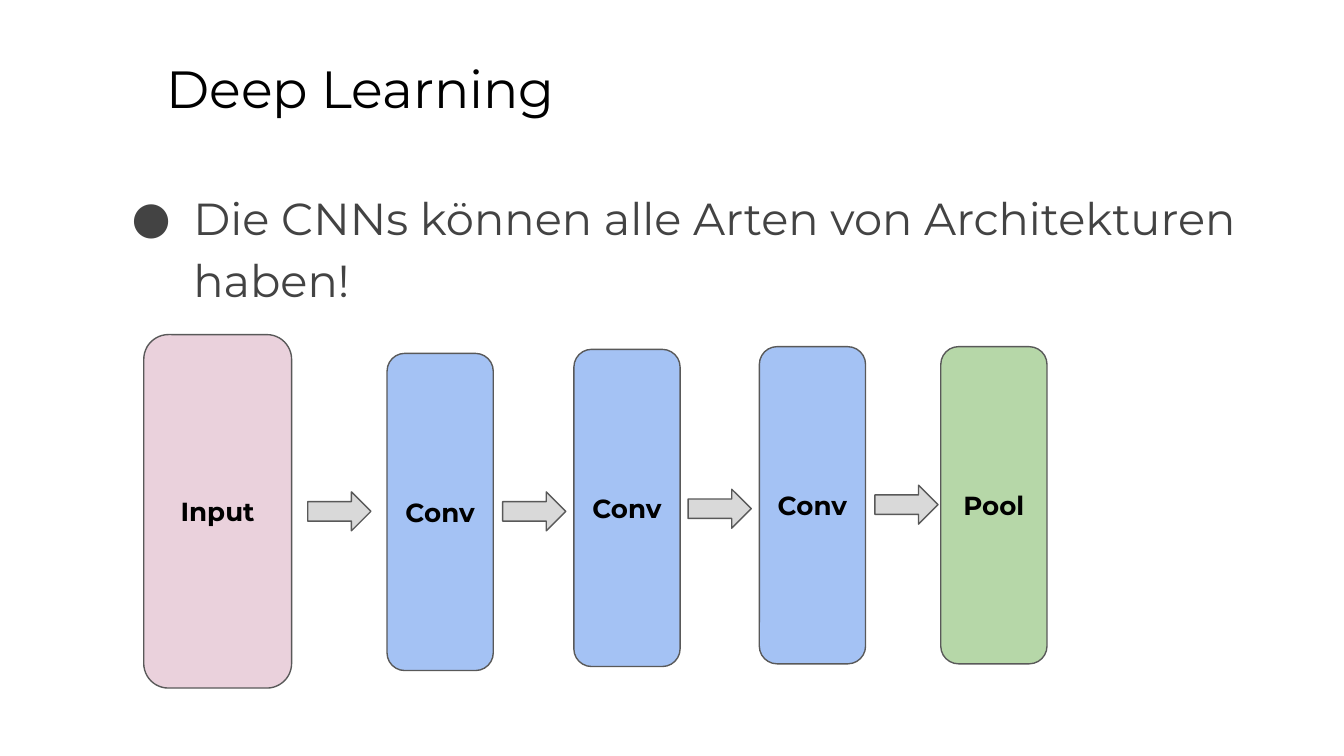
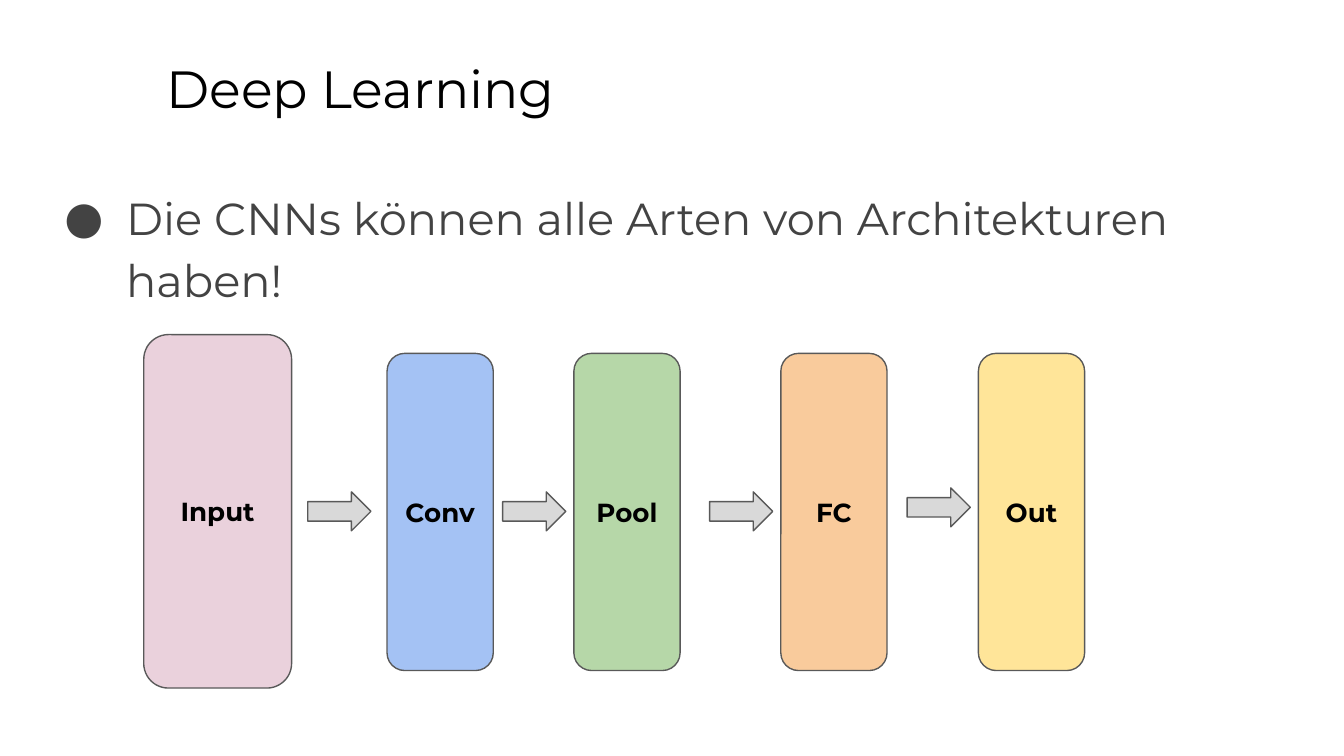
import pptx
import pptx.util
import pptx.dml.color
import pptx.enum.shapes
import pptx.enum.text
import pptx.oxml.ns
from lxml import etree

WIDTH = pptx.util.Inches(10)
HEIGHT = WIDTH * 9 // 16
CELL = WIDTH / 10
FONT = "Montserrat"
BLACK, TEXT, OUTLINE, ARROW = "000000", "434343", "595959", "D9D9D9"
FILLS = {"Input": "EAD1DC", "Conv": "A4C2F4", "Pool": "B6D7A8",
         "FC": "F9CB9C", "Out": "FFE599"}
INPUT_BOX = (1.07, 2.49, 1.1, 2.63)
LAYER_SIZE = (0.79, 2.36)
ARROW_SIZE = (0.47, 0.29)
TITLE = "Deep Learning"
MESSAGE = "Die CNNs können alle Arten von Architekturen haben!"


def color(value):
    return pptx.dml.color.RGBColor.from_string(value)


def cells(*values):
    return [round(v * CELL) for v in values]


def format_frame(tf, size, value, bold=False):
    tf.word_wrap = True
    tf.margin_left = tf.margin_right = tf.margin_top = tf.margin_bottom = cells(0.1)[0]
    for p in tf.paragraphs:
        for r in p.runs:
            r.font.name = FONT
            r.font.size = pptx.util.Pt(size)
            r.font.bold = bold
            r.font.color.rgb = color(value)


def add_text(s, box, text, size, value):
    tf = s.shapes.add_textbox(*cells(*box)).text_frame
    tf.text = text
    format_frame(tf, size, value)
    return tf.paragraphs[0]


def add_bullet(p, indent, value):
    p.line_spacing = 1.15
    pPr = p._p.get_or_add_pPr()
    margin, hanging = cells(indent, -0.46)
    pPr.set("marL", str(margin))
    pPr.set("indent", str(hanging))
    qn = pptx.oxml.ns.qn
    bullet_color = etree.SubElement(pPr, qn("a:buClr"))
    etree.SubElement(bullet_color, qn("a:srgbClr"), val=value)
    etree.SubElement(pPr, qn("a:buFont"), typeface=FONT)
    etree.SubElement(pPr, qn("a:buChar"), char="●")


def add_block(s, kind, box, fill):
    sp = s.shapes.add_shape(kind, *cells(*box))
    sp.shadow.inherit = False
    sp.fill.solid()
    sp.fill.fore_color.rgb = color(fill)
    sp.line.color.rgb = color(OUTLINE)
    sp.line.width = pptx.util.Pt(0.75)
    return sp


def add_layer(s, label, box):
    sp = add_block(s, pptx.enum.shapes.MSO_SHAPE.ROUNDED_RECTANGLE, box, FILLS[label])
    tf = sp.text_frame
    tf.text = label
    tf.vertical_anchor = pptx.enum.text.MSO_ANCHOR.MIDDLE
    tf.paragraphs[0].alignment = pptx.enum.text.PP_ALIGN.CENTER
    format_frame(tf, 14, BLACK, bold=True)


def add_architecture(prs, indent, layers):
    s = prs.slides.add_slide(prs.slide_layouts[6])
    add_text(s, (1.14, 0.32, 8.52, 0.63), TITLE, 28, BLACK)
    p = add_text(s, (0.34, 1.26, 9.32, 3.74), MESSAGE, 24, TEXT)
    add_bullet(p, indent, TEXT)
    add_layer(s, "Input", INPUT_BOX)
    for label, left, top, arrow_left, arrow_top in layers:
        add_layer(s, label, (left, top, *LAYER_SIZE))
        add_block(s, pptx.enum.shapes.MSO_SHAPE.RIGHT_ARROW,
                  (arrow_left, arrow_top, *ARROW_SIZE), ARROW)


def main():
    prs = pptx.Presentation()
    prs.slide_width, prs.slide_height = WIDTH, HEIGHT
    add_architecture(prs, 1, [
        ("Conv", 2.88, 2.63, 2.29, 3.66),
        ("Conv", 4.27, 2.6, 3.74, 3.66),
        ("Conv", 5.65, 2.58, 5.12, 3.64),
        ("Pool", 7, 2.58, 6.51, 3.61),
    ])
    add_architecture(prs, 0.5, [
        ("Conv", 2.88, 2.63, 2.29, 3.66),
        ("Pool", 4.27, 2.63, 3.74, 3.66),
        ("FC", 5.81, 2.63, 5.28, 3.66),
        ("Out", 7.28, 2.63, 6.75, 3.63),
    ])
    prs.save("out.pptx")


if __name__ == "__main__":
    main()
